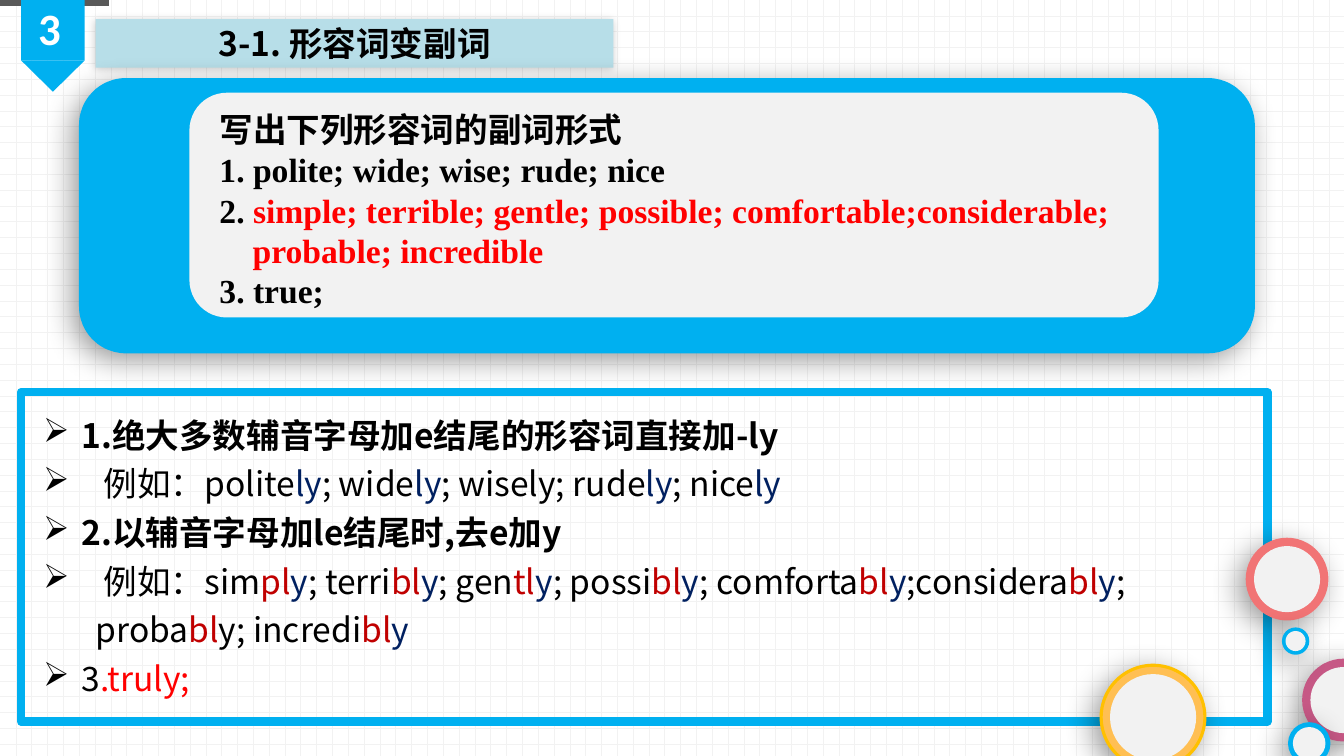
from dataclasses import dataclass

from lxml.etree import SubElement
from pptx import Presentation
from pptx.dml.color import RGBColor
from pptx.enum.dml import MSO_PATTERN
from pptx.enum.shapes import MSO_SHAPE
from pptx.enum.text import MSO_ANCHOR, MSO_AUTO_SIZE, PP_ALIGN
from pptx.oxml.ns import qn
from pptx.util import Inches, Pt


@dataclass(frozen=True)
class Theme:
    black: str = "000000"
    white: str = "FFFFFF"
    pale: str = "F2F2F2"
    gray: str = "595959"
    blue: str = "00B0F0"
    ice: str = "B7DEE8"
    navy: str = "002060"
    crimson: str = "C00000"
    red: str = "FF0000"
    coral: str = "F17475"
    plum: str = "C65885"
    orange: str = "FFBF53"
    gold: str = "FFC000"
    sans: str = "Noto Sans CJK SC"
    serif: str = "Times New Roman"
    digit: str = "Calibri"
    body: int = 24
    number: int = 32
    line: float = 34.8


THEME = Theme()
SOFT_SHADOW = (20, 6, 1)
DEEP_SHADOW = (40, 22, 7)

QUESTIONS = [
    (0, [("写出下列形容词的副词形式", THEME.black)]),
    (0, [("1. polite; wide; wise; rude; nice", THEME.black)]),
    (0, [("2. ", THEME.black),
         ("simple; terrible; gentle; possible; comfortable;considerable;", THEME.red)]),
    (0.33, [("probable; incredible", THEME.red)]),
    (0, [("3. true;", THEME.black)]),
]


def endings(*words):
    colors = (THEME.black, THEME.crimson, THEME.navy)
    return [(part, color) for word in words for part, color in zip(word, colors) if part]


ANSWERS = [
    (0.38, True, True, endings(("1.绝大多数辅音字母加e结尾的形容词直接加-ly",))),
    (0.6, True, False, endings(
        ("例如：polite", "", "ly"), ("; wide", "", "ly"),
        ("; wisely; rude", "", "ly"), ("; nice", "", "ly"))),
    (0.38, True, True, endings(("2.以辅音字母加le结尾时,去e加y",))),
    (0.6, True, False, endings(
        ("例如：sim", "pl", "y"), ("; terri", "bl", "y"), ("; gen", "tl", "y"),
        ("; possi", "bl", "y"), ("; comforta", "bl", "y"),
        (";considera", "bl", "y"), (";",))),
    (0.52, False, False, endings(("proba", "bl"), ("y; incredi", "bl", "y"))),
    (0.38, True, False, [("3", THEME.black), (".truly;", THEME.red)]),
]


def apply(target, formats):
    for name, value in formats.items():
        setattr(target, name, value)


def add_shadow(shape, alpha, blur, distance):
    effects = shape._element.spPr.find(qn("a:effectLst"))
    shadow = SubElement(effects, qn("a:outerShdw"), blurRad=str(Pt(blur)),
                        dist=str(Pt(distance)), dir=str(135 * 60000),
                        algn="tr", rotWithShape="0")
    color = SubElement(shadow, qn("a:srgbClr"), val=THEME.black)
    SubElement(color, qn("a:alpha"), val=str(alpha * 1000))


def add_block(slide, kind, place, fill=None, line=None, width=2.25, shadow=None):
    block = slide.shapes.add_shape(kind, *map(Inches, place))
    block.shadow.inherit = False
    if fill:
        block.fill.solid()
        block.fill.fore_color.rgb = RGBColor.from_string(fill)
    else:
        block.fill.background()
    if line:
        block.line.color.rgb = RGBColor.from_string(line)
        block.line.width = Pt(width)
    else:
        block.line.fill.background()
    if shadow:
        add_shadow(block, *shadow)
    return block


def add_text(slide, place, wrap=True, anchor=MSO_ANCHOR.TOP):
    frame = slide.shapes.add_textbox(*map(Inches, place)).text_frame
    apply(frame, {"word_wrap": wrap, "vertical_anchor": anchor,
                  "auto_size": MSO_AUTO_SIZE.SHAPE_TO_FIT_TEXT})
    return frame


def next_paragraph(frame, index):
    return frame.add_paragraph() if index else frame.paragraphs[0]


def indent(paragraph, left, bullet=False):
    properties = paragraph._p.get_or_add_pPr()
    properties.set("marL", str(Inches(left)))
    properties.set("indent", str(Inches(-left if bullet else 0)))
    if bullet:
        SubElement(properties, qn("a:buChar"), char="➢")


def write(paragraph, runs, font=THEME.sans, size=THEME.body, bold=True):
    for text, color in runs:
        run = paragraph.add_run()
        run.text = text
        apply(run.font, {"name": font, "size": Pt(size), "bold": bold})
        run.font.color.rgb = RGBColor.from_string(color)
        SubElement(run._r.get_or_add_rPr(), qn("a:ea"), typeface=THEME.sans)


def add_ring(slide, left, top, size, color, edge=None):
    inset = size * 0.085
    inner = size - 2 * inset
    add_block(slide, MSO_SHAPE.OVAL, (left, top, size, size), color,
              edge or color, shadow=DEEP_SHADOW)
    add_block(slide, MSO_SHAPE.OVAL, (left + inset, top + inset, inner, inner), THEME.pale)


def add_header(slide):
    add_block(slide, MSO_SHAPE.RECTANGLE, (0, 0, 1.08, 0.06), THEME.gray)
    add_block(slide, MSO_SHAPE.RECTANGLE, (0.21, 0, 0.63, 0.6), THEME.blue)
    ribbon_tip = add_block(slide, MSO_SHAPE.ISOSCELES_TRIANGLE,
                           (0.21, 0.6, 0.63, 0.31), THEME.blue)
    ribbon_tip.rotation = 180
    title = add_block(slide, MSO_SHAPE.RECTANGLE, (0.95, 0.19, 5.14, 0.48),
                      THEME.ice, shadow=SOFT_SHADOW).text_frame
    apply(title, {"vertical_anchor": MSO_ANCHOR.MIDDLE, "word_wrap": True,
                  "margin_top": Inches(0.04), "margin_bottom": Inches(0.04)})
    title.paragraphs[0].alignment = PP_ALIGN.CENTER
    write(title.paragraphs[0], [("3-1. 形容词变副词", THEME.black)])
    number = add_text(slide, (0.28, -0.2, 0.52, 0.8), wrap=False).paragraphs[0]
    number.line_spacing = 1.3
    write(number, [("3", THEME.white)], THEME.digit, THEME.number)


def add_questions(slide):
    add_block(slide, MSO_SHAPE.ROUNDED_RECTANGLE, (0.8, 0.79, 11.64, 2.7),
              THEME.blue, THEME.blue, shadow=DEEP_SHADOW)
    add_block(slide, MSO_SHAPE.ROUNDED_RECTANGLE, (1.88, 0.92, 9.62, 2.23), THEME.pale)
    frame = add_text(slide, (2.08, 1.03, 9.42, 2.12))
    for index, (left, runs) in enumerate(QUESTIONS):
        paragraph = next_paragraph(frame, index)
        indent(paragraph, left)
        write(paragraph, runs, THEME.serif)


def add_answers(slide):
    add_block(slide, MSO_SHAPE.RECTANGLE, (0.21, 3.89, 12.37, 3.27),
              line=THEME.blue, width=6)
    frame = add_text(slide, (0.33, 4.05, 12.15, 2.94), anchor=MSO_ANCHOR.MIDDLE)
    for index, (left, bullet, bold, runs) in enumerate(ANSWERS):
        paragraph = next_paragraph(frame, index)
        if index:
            paragraph.line_spacing = Pt(THEME.line)
        indent(paragraph, left, bullet)
        write(paragraph, runs, bold=bold)


def main():
    deck = Presentation()
    apply(deck, {"slide_width": Inches(13.34), "slide_height": Inches(7.5)})
    slide = deck.slides.add_slide(deck.slide_layouts[6])
    backdrop = slide.background.fill
    backdrop.patterned()
    backdrop.pattern = MSO_PATTERN.DOTTED_GRID
    backdrop.fore_color.rgb = RGBColor.from_string(THEME.pale)
    backdrop.back_color.rgb = RGBColor.from_string(THEME.white)
    add_header(slide)
    add_answers(slide)
    add_questions(slide)
    add_ring(slide, 12.94, 6.55, 0.79, THEME.plum)
    add_ring(slide, 12.8, 7.18, 0.39, THEME.blue)
    add_ring(slide, 10.93, 6.6, 1.03, THEME.orange, THEME.gold)
    add_ring(slide, 12.38, 5.35, 0.79, THEME.coral)
    add_ring(slide, 12.74, 6.24, 0.24, THEME.blue)
    deck.save("out.pptx")


if __name__ == "__main__":
    main()
